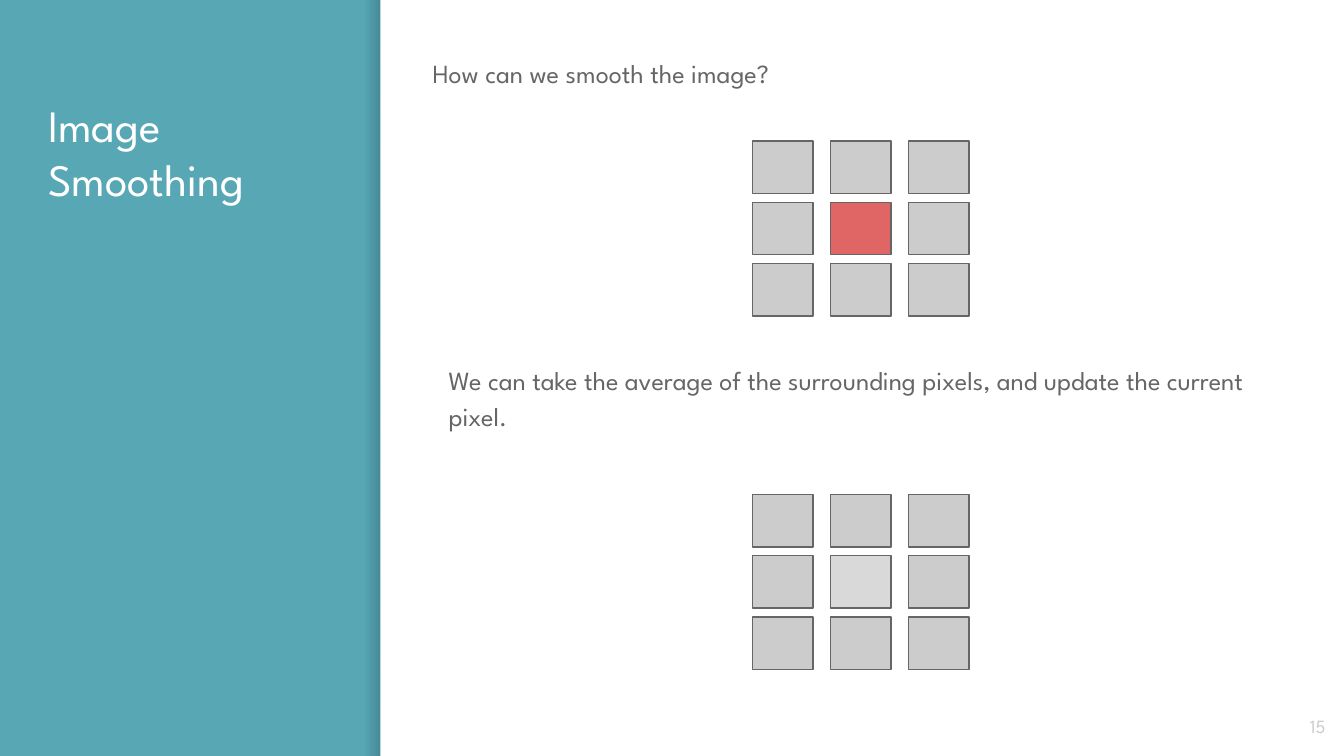
from lxml.etree import SubElement
from pptx import Presentation
from pptx.dml.color import RGBColor
from pptx.enum.shapes import MSO_SHAPE
from pptx.enum.text import MSO_ANCHOR, PP_ALIGN
from pptx.oxml.ns import qn
from pptx.util import Inches, Pt

TEAL = RGBColor(0x57, 0xA7, 0xB5)
WHITE = RGBColor(0xFF, 0xFF, 0xFF)
NAVY = RGBColor(0x00, 0x00, 0x14)
DARK_GRAY = RGBColor(0x66, 0x66, 0x66)
GRAY = RGBColor(0xCC, 0xCC, 0xCC)
LIGHT_GRAY = RGBColor(0xD9, 0xD9, 0xD9)
RED = RGBColor(0xE0, 0x66, 0x66)

FONT = "League Spartan"
WIDTH = 10
HEIGHT = WIDTH * 9 / 16
PANEL_LEFT = 2.83
SHADE_WIDTH = 0.12
SHADE_STOPS = [(0, 0), (1, 20)]

TITLE = {"size": Pt(24), "color": WHITE, "paragraph": {}}
BODY = {"size": Pt(14), "color": DARK_GRAY,
        "paragraph": {"line_spacing": 1.15, "space_before": Pt(6)}}
NUMBER = {"size": Pt(10), "color": GRAY,
          "paragraph": {"alignment": PP_ALIGN.RIGHT}, "anchor": MSO_ANCHOR.MIDDLE}

TEXTS = [
    ("Image Smoothing", (0.26, 0.63, 2.24, 4.35), TITLE),
    ("15", (9.36, 5.19, 0.6, 0.43), NUMBER),
    ("How can we smooth the image?", (3.12, 0.29, 3.77, 0.59), BODY),
    ("We can take the average of the surrounding pixels, and update the current pixel.",
     (3.24, 2.58, 6.24, 0.85), BODY),
]

PIXEL_GRIDS = [(1.05, RED), (3.68, LIGHT_GRAY)]
GRID_LEFT = 5.6
GRID_SIZE = 3
GRID_WIDTH, GRID_HEIGHT = 1.61, 1.3
PIXEL_WIDTH, PIXEL_HEIGHT = 0.45, 0.39
COLUMN_STEP = (GRID_WIDTH - PIXEL_WIDTH) / (GRID_SIZE - 1)
ROW_STEP = (GRID_HEIGHT - PIXEL_HEIGHT) / (GRID_SIZE - 1)


def add_block(slide, kind, place):
    block = slide.shapes.add_shape(kind, *map(Inches, place))
    block.shadow.inherit = False
    block.line.fill.background()
    return block


def paint(block, color):
    block.fill.solid()
    block.fill.fore_color.rgb = color


def add_panel(slide):
    shade = add_block(slide, MSO_SHAPE.RECTANGLE,
                      (PANEL_LEFT - SHADE_WIDTH, 0, SHADE_WIDTH, HEIGHT))
    shade.fill.gradient()
    shade.fill.gradient_angle = 0
    for stop, (position, opacity) in zip(shade.fill.gradient_stops, SHADE_STOPS):
        stop.position = position
        stop.color.rgb = NAVY
    colors = shade.element.spPr.find(qn("a:gradFill")).iter(qn("a:srgbClr"))
    for color, (position, opacity) in zip(colors, SHADE_STOPS):
        SubElement(color, qn("a:alpha"), val=str(opacity * 1000))
    panel = add_block(slide, MSO_SHAPE.RECTANGLE,
                      (PANEL_LEFT, 0, WIDTH - PANEL_LEFT, HEIGHT))
    paint(panel, WHITE)


def add_text(slide, text, place, style):
    frame = slide.shapes.add_textbox(*map(Inches, place)).text_frame
    frame.word_wrap = True
    frame.vertical_anchor = style.get("anchor", MSO_ANCHOR.TOP)
    for side in ("left", "top", "right", "bottom"):
        setattr(frame, f"margin_{side}", Inches(0.1))
    para = frame.paragraphs[0]
    for name, value in style["paragraph"].items():
        setattr(para, name, value)
    span = para.add_run()
    span.text = text
    for name, value in {"name": FONT, "size": style["size"]}.items():
        setattr(span.font, name, value)
    span.font.color.rgb = style["color"]


def add_pixel_grid(slide, top, center_color):
    middle = GRID_SIZE // 2
    for row in range(GRID_SIZE):
        for column in range(GRID_SIZE):
            pixel = add_block(slide, MSO_SHAPE.FLOWCHART_PROCESS,
                              (GRID_LEFT + column * COLUMN_STEP, top + row * ROW_STEP,
                               PIXEL_WIDTH, PIXEL_HEIGHT))
            paint(pixel, center_color if row == column == middle else GRAY)
            pixel.line.color.rgb = DARK_GRAY
            pixel.line.width = Pt(0.75)


def main():
    deck = Presentation()
    deck.slide_width, deck.slide_height = Inches(WIDTH), Inches(HEIGHT)
    page = deck.slides.add_slide(deck.slide_layouts[6])
    paint(page.background, TEAL)
    add_panel(page)
    for text, place, style in TEXTS:
        add_text(page, text, place, style)
    for top, center_color in PIXEL_GRIDS:
        add_pixel_grid(page, top, center_color)
    deck.save("out.pptx")


if __name__ == "__main__":
    main()
